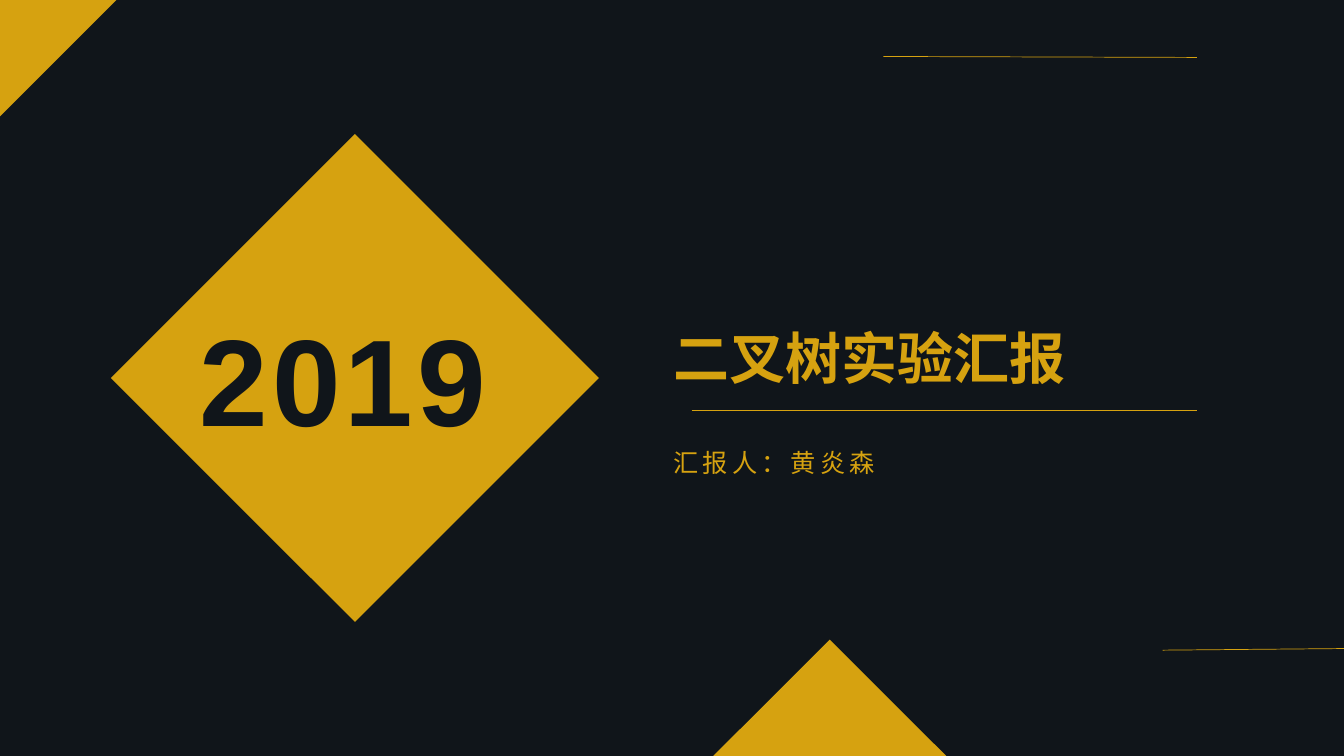
from dataclasses import dataclass

from pptx import Presentation
from pptx.dml.color import RGBColor
from pptx.enum.shapes import MSO_CONNECTOR as Connector, MSO_SHAPE as Preset
from pptx.enum.text import MSO_ANCHOR as Anchor, MSO_AUTO_SIZE as AutoSize, PP_ALIGN as Align
from pptx.oxml.ns import qn
from pptx.util import Inches, Pt
from lxml.etree import SubElement


@dataclass(frozen=True)
class Theme:
    night: RGBColor = RGBColor.from_string("10151A")
    gold: RGBColor = RGBColor.from_string("D6A210")
    year: int = 88
    headline: int = 40
    presenter: int = 18
    rule: float = 0.5


theme = Theme()
deck = Presentation()
deck.slide_width, deck.slide_height = Inches(13.33), Inches(7.5)
cover = deck.slides.add_slide(deck.slide_layouts[5])
cover.background.fill.solid()
cover.background.fill.fore_color.rgb = theme.night


def place(*percents):
    sides = (deck.slide_width, deck.slide_height) * 2
    return [round(side * percent / 100) for side, percent in zip(sides, percents)]


def write(text, box, size, font, color, bold=False, tracking=0, leading=1.0, holder=None):
    holder = holder or cover.shapes.add_textbox(0, 0, 0, 0)
    holder.left, holder.top, holder.width, holder.height = place(*box)
    frame = holder.text_frame
    frame.word_wrap = True
    frame.auto_size = AutoSize.SHAPE_TO_FIT_TEXT
    frame.vertical_anchor = Anchor.TOP
    paragraph = frame.paragraphs[0]
    paragraph.alignment = Align.LEFT
    paragraph.line_spacing = leading
    run = paragraph.add_run()
    run.text = text
    run.font.size, run.font.name, run.font.bold = Pt(size), font, bold
    run.font.color.rgb = color
    if tracking:
        run.font._element.set("spc", str(tracking * 100))


for center_x, center_y, span in [(0, 0, 17.33), (61.74, 100, 17.33), (26.41, 50, 36.31)]:
    middle_x, middle_y, side = place(center_x, center_y, span)
    diamond = cover.shapes.add_shape(
        Preset.DIAMOND, middle_x - side // 2, middle_y - side // 2, side, side)
    diamond.shadow.inherit = False
    diamond.fill.solid()
    diamond.fill.fore_color.rgb = theme.gold
    diamond.line.fill.background()

text_left = 49.36
write("二叉树实验汇报", (text_left, 42.13, 45.84, 10.27), theme.headline,
      "Roboto Condensed", theme.gold, bold=True, holder=cover.shapes.title)
write("汇报人：黄炎森", (text_left, 56.53, 48.99, 7.33), theme.presenter,
      "Roboto", theme.gold, tracking=3, leading=1.5)
write("2019", (14.1, 39.47, 24.76, 21.07), theme.year,
      "Arial", theme.night, bold=True, tracking=3)

rule_right = 89.05
for ends in [(51.46, 54.27, rule_right, 54.27),
             (65.72, 7.47, rule_right, 7.6),
             (86.5, 86, 103.68, 85.73)]:
    rule = cover.shapes.add_connector(Connector.STRAIGHT, *place(*ends))
    rule.line.color.rgb = theme.gold
    rule.line.width = Pt(theme.rule)
    SubElement(rule._element.spPr, qn("a:effectLst"))

deck.save("out.pptx")
